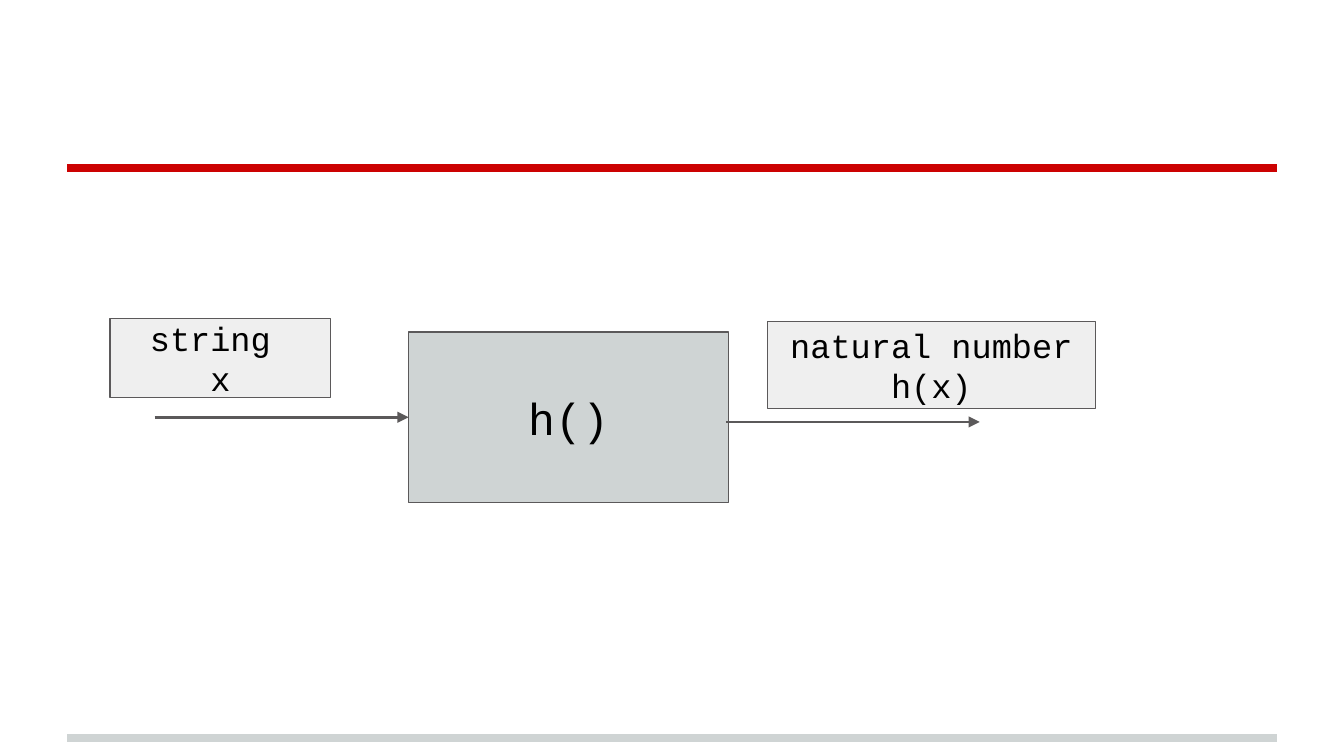
import pptx
import pptx.util
import pptx.dml.color
import pptx.enum.shapes
import pptx.enum.text
import pptx.oxml.ns
from lxml import etree

Inches, Pt = pptx.util.Inches, pptx.util.Pt

WIDTH = 10
HEIGHT = WIDTH * 9 / 16
MARGIN = 0.05 * WIDTH
COLORS = {"red": "CC0202", "grey": "CFD4D4", "pale": "EFEFEF",
          "outline": "5B595A", "text": "000000"}

# height on the slide, colour
RULES = [(5.49, "grey"), (1.25, "red")]

# lines of text, (left, top, width, height), fill, text size
FUNCTION = (["h()"], (3.04, 2.47, 2.38, 1.27), "grey", 24)
LABELS = [
    (["string ", "x"], (0.82, 2.37, 1.64, 0.59), "pale", 18),
    (["natural number ", "h(x)"], (5.71, 2.39, 2.44, 0.65), "pale", 18),
]

ARROW_LENGTH = 1.89
OUTPUT_START = (5.4, 3.14)


def rgb(name):
    return pptx.dml.color.RGBColor.from_string(COLORS[name])


def add_line(slide, left, y, length, color, weight, arrow=False):
    """Draw a horizontal line, with an arrowhead at its right end if asked."""
    line = slide.shapes.add_connector(
        pptx.enum.shapes.MSO_CONNECTOR.STRAIGHT,
        Inches(left), Inches(y), Inches(left + length), Inches(y))
    line.line.color.rgb = rgb(color)
    line.line.width = Pt(weight)
    qn = pptx.oxml.ns.qn
    if arrow:
        etree.SubElement(line.line._get_or_add_ln(), qn("a:tailEnd"),
                         type="triangle")
    etree.SubElement(line._element.spPr, qn("a:effectLst"))
    return line


def add_box(slide, lines, place, fill, size):
    box = slide.shapes.add_shape(pptx.enum.shapes.MSO_SHAPE.RECTANGLE,
                                 *map(Inches, place))
    box.shadow.inherit = False
    box.fill.solid()
    box.fill.fore_color.rgb = rgb(fill)
    box.line.color.rgb = rgb("outline")
    box.line.width = Pt(0.75)
    frame = box.text_frame
    frame.margin_left = frame.margin_right = Inches(0.1)
    frame.margin_top = frame.margin_bottom = Inches(0.1)
    frame.vertical_anchor = pptx.enum.text.MSO_ANCHOR.MIDDLE
    frame.word_wrap = True
    frame.text = "\n".join(lines)
    for paragraph in frame.paragraphs:
        paragraph.alignment = pptx.enum.text.PP_ALIGN.CENTER
        for run in paragraph.runs:
            run.font.name = "Courier New"
            run.font.size = Pt(size)
            run.font.color.rgb = rgb("text")
    return box


def main():
    deck = pptx.Presentation()
    deck.slide_width, deck.slide_height = Inches(WIDTH), Inches(HEIGHT)
    slide = deck.slides.add_slide(deck.slide_layouts.get_by_name("Blank"))

    for y, color in RULES:
        add_line(slide, MARGIN, y, WIDTH - 2 * MARGIN, color, 4)

    function_box = add_box(slide, *FUNCTION)
    left, top, _, height = FUNCTION[1]
    input_arrow = add_line(slide, left - ARROW_LENGTH, top + height / 2,
                           ARROW_LENGTH, "outline", 1.5, arrow=True)
    input_arrow.end_connect(function_box, 1)
    add_line(slide, *OUTPUT_START, ARROW_LENGTH, "outline", 1.5, arrow=True)

    for label in LABELS:
        add_box(slide, *label)

    deck.save("out.pptx")


if __name__ == "__main__":
    main()
